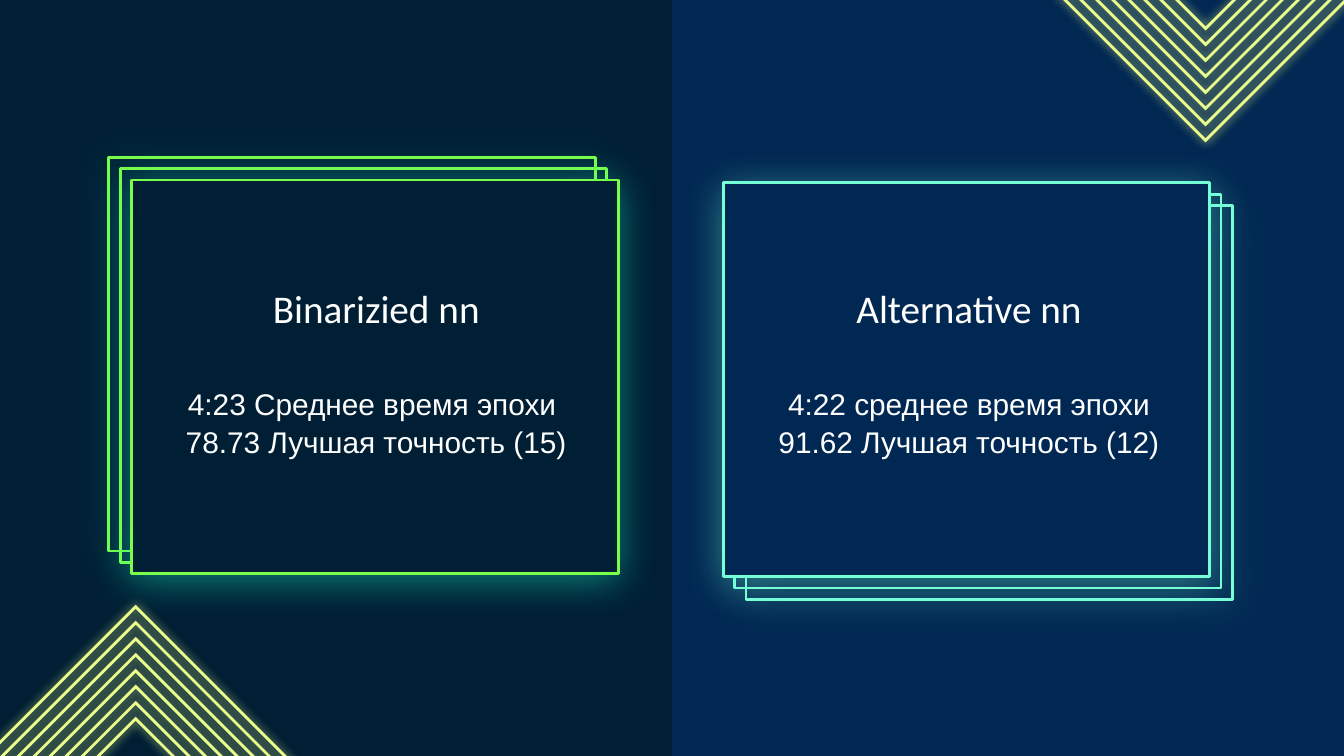
import lxml.etree
import pptx
import pptx.dml.color
import pptx.enum.shapes
import pptx.enum.text
import pptx.oxml.ns
import pptx.util

Inches = pptx.util.Inches
RGBColor = pptx.dml.color.RGBColor

NIGHT = RGBColor(0x00, 0x1F, 0x35)
NAVY = RGBColor(0x01, 0x28, 0x53)
YELLOW = RGBColor(0xEC, 0xFF, 0x8C)
GREEN = RGBColor(0x77, 0xFF, 0x4A)
TEAL = RGBColor(0x1F, 0xFF, 0xCE)
AQUA = RGBColor(0x75, 0xFF, 0xD7)
WHITE = RGBColor(0xFF, 0xFF, 0xFF)

FRAME_WIDTH, FRAME_HEIGHT, FRAME_STEP = 3.62, 2.93, 0.085
DIAMOND_COUNT, DIAMOND_RADIUS, DIAMOND_STEP = 8, 1.865, 0.119


def add_child(parent, tag, **attributes):
    """Append a DrawingML element, with its attributes as strings."""
    child = lxml.etree.SubElement(parent, pptx.oxml.ns.qn(tag))
    for name, value in attributes.items():
        child.set(name, str(value))
    return child


def add_glow(shape, color, opacity, blur, distance):
    """Give the shape a soft coloured shadow; lengths are in points."""
    shape.shadow.inherit = False
    effects = shape.element.spPr.find(pptx.oxml.ns.qn("a:effectLst"))
    shadow = add_child(effects, "a:outerShdw", blurRad=pptx.util.Pt(blur),
                       dist=pptx.util.Pt(distance), dir=5400000,
                       algn="ctr", rotWithShape=0)
    tint = add_child(shadow, "a:srgbClr", val=color)
    add_child(tint, "a:alpha", val=opacity * 1000)


def style_outline(shape, color, fill=None):
    if fill is None:
        shape.fill.background()
    else:
        shape.fill.solid()
        shape.fill.fore_color.rgb = fill
    shape.line.color.rgb = color
    shape.line.width = pptx.util.Pt(1.5)


def add_rectangle(slide, left, top, width, height):
    return slide.shapes.add_shape(
        pptx.enum.shapes.MSO_SHAPE.RECTANGLE,
        Inches(left), Inches(top), Inches(width), Inches(height))


def add_diamonds(slide, center_x, center_y):
    """Nest glowing diamonds around one centre."""
    group = slide.shapes.add_group_shape()
    for index in range(DIAMOND_COUNT):
        radius = DIAMOND_RADIUS - index * DIAMOND_STEP
        corners = [(Inches(center_x + dx * radius), Inches(center_y + dy * radius))
                   for dx, dy in ((1, 0), (0, -1), (-1, 0), (0, 1))]
        builder = group.shapes.build_freeform(*corners[0])
        builder.add_line_segments(corners[1:], close=True)
        diamond = builder.convert_to_shape()
        style_outline(diamond, YELLOW)
        add_child(diamond.line._get_or_add_ln(), "a:miter", lim=800000)
        add_glow(diamond, YELLOW, opacity=90, blur=5.6, distance=0)


def add_frames(slide, left, top, direction, color, glow, fill, rotation=0):
    """Stack three frames diagonally; left and top place the filled front one."""
    for depth in (2, 1, 0):
        offset = direction * depth * FRAME_STEP
        frame = add_rectangle(slide, left + offset, top + offset,
                              FRAME_WIDTH, FRAME_HEIGHT)
        frame.rotation = rotation
        style_outline(frame, color, fill if depth == 0 else None)
        add_glow(frame, glow, opacity=38, blur=21.4, distance=3)


def set_text(slide, placeholder, lines, left, top, height,
             size, font, line_spacing=1.0):
    """Place the placeholder in front and fill it with centred lines."""
    slide.shapes.element.append(placeholder.element)
    placeholder.left, placeholder.top = Inches(left), Inches(top)
    placeholder.width, placeholder.height = Inches(3.18), Inches(height)
    frame = placeholder.text_frame
    frame.word_wrap = True
    frame.auto_size = pptx.enum.text.MSO_AUTO_SIZE.NONE
    frame.vertical_anchor = pptx.enum.text.MSO_ANCHOR.MIDDLE
    frame.margin_left = frame.margin_right = Inches(0.1)
    frame.margin_top = frame.margin_bottom = Inches(0.1)
    frame.text = "\n".join(lines)
    for paragraph in frame.paragraphs:
        paragraph.alignment = pptx.enum.text.PP_ALIGN.CENTER
        paragraph.line_spacing = line_spacing
        paragraph.space_before = paragraph.space_after = pptx.util.Pt(0)
        properties = paragraph._p.get_or_add_pPr()
        properties.set("marL", "0")
        properties.set("indent", "0")
        add_child(properties, "a:buNone")
        for run in paragraph.runs:
            run.font.name = font
            run.font.size = pptx.util.Pt(size)
            run.font.bold = False
            run.font.color.rgb = WHITE


def main():
    presentation = pptx.Presentation()
    presentation.slide_width = Inches(10)
    presentation.slide_height = Inches(5.625)
    comparison_layout = presentation.slide_layouts[4]
    slide = presentation.slides.add_slide(comparison_layout)
    placeholders = {item.placeholder_format.idx: item
                    for item in slide.placeholders}
    unused = placeholders[3].element
    unused.getparent().remove(unused)

    # Two-tone background
    slide.background.fill.solid()
    slide.background.fill.fore_color.rgb = NIGHT
    panel = add_rectangle(slide, 5, 0, 5, 5.625)
    panel.shadow.inherit = False
    panel.fill.solid()
    panel.fill.fore_color.rgb = NAVY
    panel.line.fill.background()

    # Corner ornaments
    add_diamonds(slide, 8.97, -0.82)
    add_diamonds(slide, 1.01, 6.38)

    # Frames for the two networks
    add_frames(slide, 5.38, 1.36, 1, AQUA, AQUA, NAVY, rotation=180)
    add_frames(slide, 0.98, 1.34, -1, GREEN, TEAL, NIGHT)

    # Headings and results
    columns = (
        (1.21, placeholders[0], "Binarizied nn", placeholders[2],
         ("4:23 Среднее время эпохи ", "78.73 Лучшая точность (15)")),
        (5.62, placeholders[1], "Alternative nn", placeholders[4],
         ("4:22 среднее время эпохи", "91.62 Лучшая точность (12)")),
    )
    for left, heading, name, body, results in columns:
        set_text(slide, heading, [name], left, 2.14, 0.3,
                 size=21, font="Calibri")
        set_text(slide, body, results, left, 2.7, 0.88,
                 size=16, font="Arial", line_spacing=1.05)

    presentation.save("out.pptx")


if __name__ == "__main__":
    main()
